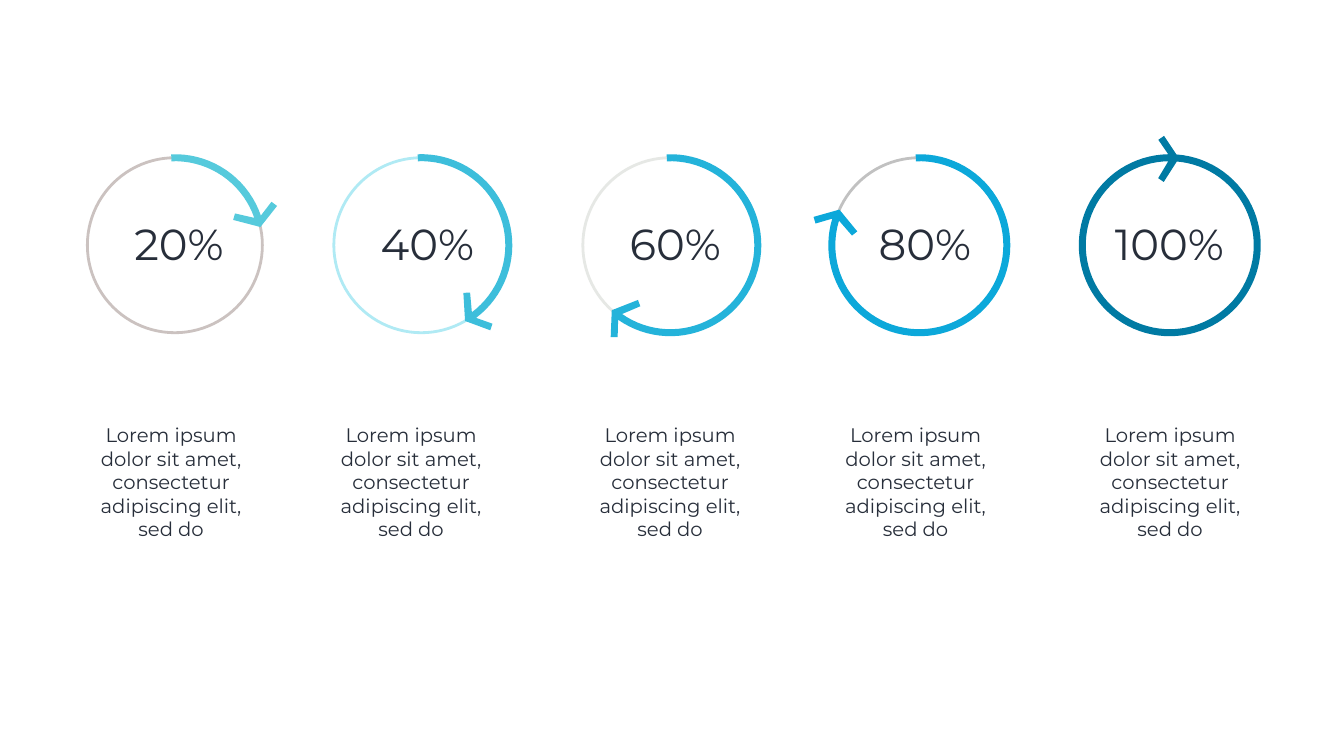
from math import cos, radians, sin

from pptx import Presentation
from pptx.dml.color import RGBColor
from pptx.enum.shapes import MSO_SHAPE
from pptx.enum.text import PP_ALIGN
from pptx.util import Pt

INK = "272E3A"
TEXT = "Lorem ipsum dolor sit amet, consectetur adipiscing elit, sed do"
MID_Y = 350.3
RING, TRACK = 127, 4          # pale ring: outer radius, thickness
OUTER, INNER = 130, 120       # progress band radii
TIP = 125
STEP = 4                      # degrees between points of an arc
# Arrowhead corners as (along the arc, away from the centre), from its tip
HEAD = [(-32, 23), (-24.5, 29.5), (0, 0), (-18, -36), (-26.5, -31.5)]

# share, centre x, caption left, band colour, ring colour
DIALS = [
    (20, 249.8, 127.4, "56CADC", "CBC2C0"),
    (40, 601.9, 470.2, "3DBEDB", "B0EAF4"),
    (60, 957.6, 840.2, "24B3DA", "E6E8E5"),
    (80, 1313.3, 1190.9, "0CA8DA", "C1C1C1"),
    (100, 1671.1, 1554.5, "007AA3", None),
]


def tint(code):
    return RGBColor.from_string(code)


def paint(shape, code):
    shape.shadow.inherit = False
    shape.fill.solid()
    shape.fill.fore_color.rgb = tint(code)
    shape.line.fill.background()


def polar(mid, size, angle):
    """Point at an angle in degrees, clockwise from the top."""
    turn = radians(angle)
    return mid + size * sin(turn), MID_Y - size * cos(turn)


def label(slide, box, text, size, align, inset=(0, 0), wrap=False):
    shape = slide.shapes.add_textbox(*map(Pt, box))
    side, edge = map(Pt, inset)
    form = {"margin_left": side, "margin_right": side,
            "margin_top": edge, "margin_bottom": edge, "word_wrap": wrap}
    for key, value in form.items():
        setattr(shape.text_frame, key, value)
    para = shape.text_frame.paragraphs[0]
    para.alignment = align
    run = para.add_run()
    run.text = text
    for key, value in {"name": "Montserrat", "size": Pt(size)}.items():
        setattr(run.font, key, value)
    run.font.color.rgb = tint(INK)


def ring(slide, mid, code):
    box = (mid - RING, MID_Y - RING, 2 * RING, 2 * RING)
    shape = slide.shapes.add_shape(MSO_SHAPE.DONUT, *map(Pt, box))
    shape.adjustments[0] = TRACK / (2 * RING)
    paint(shape, code)


def band(slide, mid, share, code):
    """Progress arc from the top, ending in an open arrowhead."""
    full = share == 100
    tip = share * 3.6 + 6
    start, end = (4.5 if full else -2.3), tip - 7
    count = round((end - start) / STEP)
    angles = [start + (end - start) * i / count for i in range(count + 1)]
    peak = polar(mid, TIP, tip)
    turn = radians(tip)
    head = [(peak[0] + u * cos(turn) + v * sin(turn),
             peak[1] + u * sin(turn) - v * cos(turn)) for u, v in HEAD]
    points = [peak] if full else []
    points += [polar(mid, OUTER, a) for a in angles]
    points += head
    points += [polar(mid, INNER, a) for a in reversed(angles)]
    points = [(Pt(x), Pt(y)) for x, y in points]
    path = slide.shapes.build_freeform(*points[0])
    path.add_line_segments(points[1:], close=True)
    paint(path.convert_to_shape(), code)


def dial(slide, share, mid, left, code, pale):
    if pale:
        ring(slide, mid, pale)
    band(slide, mid, share, code)
    shift, wide = (78.5, 167) if share == 100 else (58, 142)
    label(slide, (mid - shift, 310.3, wide, 75.6), f"{share}%", 62,
          PP_ALIGN.LEFT)
    label(slide, (left, 597, 234, 196.6), TEXT, 28, PP_ALIGN.CENTER,
          (14.4, 7.2), True)


def main():
    deck = Presentation()
    deck.slide_width, deck.slide_height = Pt(1920), Pt(1080)
    slide = deck.slides.add_slide(deck.slide_layouts[6])
    for item in DIALS:
        dial(slide, *item)
    deck.save("out.pptx")


if __name__ == "__main__":
    main()
